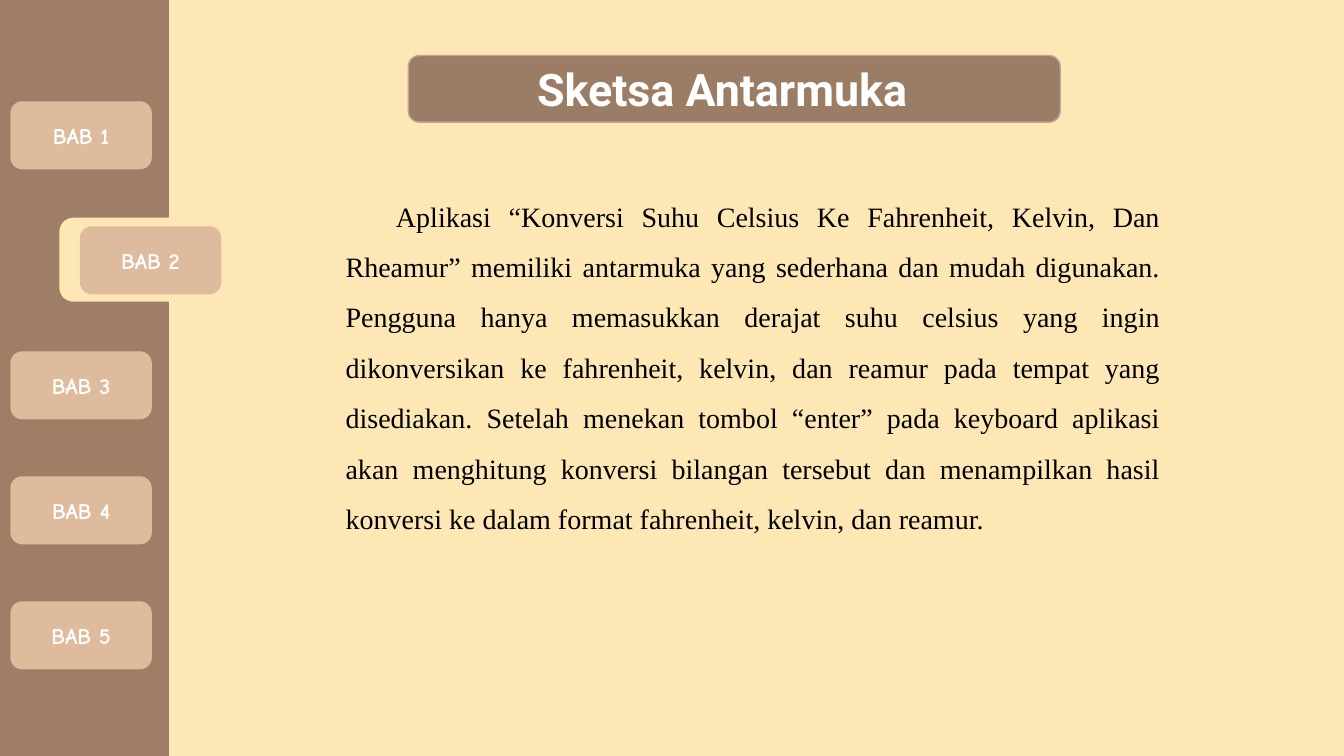
"""Build the "Sketsa Antarmuka" slide with its chapter tabs."""
import math

from pptx import Presentation
from pptx import util as u
from pptx.dml.color import RGBColor
from pptx.enum import shapes, text

CREAM = RGBColor(0xFD, 0xE7, 0xB4)
BROWN = RGBColor(0x9E, 0x7E, 0x67)
TITLE_BROWN = RGBColor(0x9B, 0x7D, 0x65)
TITLE_EDGE = RGBColor(0xBC, 0xA6, 0x96)
TAN = RGBColor(0xDF, 0xBB, 0x9D)
WHITE = RGBColor(0xFF, 0xFF, 0xFF)
BLACK = RGBColor(0, 0, 0)

CHAPTERS = 5
ACTIVE_CHAPTER = 2
TAB_TOP, TAB_PITCH = 2.57, 3.15
TAB_LEFT, ACTIVE_LEFT = 0.28, 2.03
TAB_WIDTH, TAB_HEIGHT = 3.53, 1.68

BODY = (
    "Aplikasi “Konversi Suhu Celsius Ke Fahrenheit, Kelvin, Dan Rheamur” "
    "memiliki antarmuka yang sederhana dan mudah digunakan. Pengguna hanya "
    "memasukkan derajat suhu celsius yang ingin dikonversikan ke fahrenheit, "
    "kelvin, dan reamur pada tempat yang disediakan. Setelah menekan tombol "
    "“enter” pada keyboard aplikasi akan menghitung konversi bilangan tersebut "
    "dan menampilkan hasil konversi ke dalam format fahrenheit, kelvin, dan reamur."
)


def write(frame, words, font, size, color, bold=False, align=text.PP_ALIGN.CENTER):
    frame.word_wrap = True
    para = frame.paragraphs[0]
    para.alignment = align
    span = para.add_run()
    span.text = words
    span.font.name = font
    span.font.size = u.Pt(size)
    span.font.bold = bold
    span.font.color.rgb = color
    return para


def corner(center_x, center_y, radius, start, steps=12):
    angles = [math.radians(start - 90 * step / steps) for step in range(steps + 1)]
    return [(center_x + radius * math.cos(angle), center_y - radius * math.sin(angle))
            for angle in angles]


class Page:
    def __init__(self, deck, background):
        self.slide = deck.slides.add_slide(deck.slide_layouts[6])
        fill = self.slide.background.fill
        fill.solid()
        fill.fore_color.rgb = background

    def paint(self, shape, fill, line):
        shape.shadow.inherit = False
        shape.fill.solid()
        shape.fill.fore_color.rgb = fill
        shape.line.color.rgb = line
        shape.line.width = u.Pt(1)

    def outline(self, points, color):
        start, *rest = [(u.Cm(x), u.Cm(y)) for x, y in points]
        builder = self.slide.shapes.build_freeform(*start)
        builder.add_line_segments(rest, close=True)
        self.paint(builder.convert_to_shape(), color, color)

    def button(self, left, top, width, height, words, fill, line, font, size, inset=0.25):
        box = self.slide.shapes.add_shape(
            shapes.MSO_SHAPE.ROUNDED_RECTANGLE,
            u.Cm(left), u.Cm(top), u.Cm(width), u.Cm(height))
        self.paint(box, fill, line)
        frame = box.text_frame
        frame.vertical_anchor = text.MSO_ANCHOR.MIDDLE
        frame.margin_right = u.Cm(inset)
        write(frame, words, font, size, WHITE, bold=True)

    def body(self, left, top, width, height, words):
        box = self.slide.shapes.add_textbox(u.Cm(left), u.Cm(top), u.Cm(width), u.Cm(height))
        box.text_frame.auto_size = text.MSO_AUTO_SIZE.SHAPE_TO_FIT_TEXT
        para = write(box.text_frame, words, "Times New Roman", 20, BLACK,
                     align=text.PP_ALIGN.JUSTIFY)
        para.line_spacing = 1.5
        para.space_after = u.Pt(10)
        properties = para._p.get_or_add_pPr()
        properties.set("marL", "0")
        properties.set("indent", str(u.Cm(1.27)))


def sidebar_points():
    top, bottom, right = -1.4, 19.66, 4.24
    notch_left, notch_top, notch_bottom, radius = 1.48, 5.47, 7.62, 0.36
    center = notch_left + radius
    lower = corner(center, notch_bottom - radius, radius, 270)
    upper = corner(center, notch_top + radius, radius, 180)
    return [(0, top), (right, top), (right, notch_top), *reversed(upper),
            *reversed(lower), (right, notch_bottom), (right, bottom), (0, bottom)]


def main():
    deck = Presentation()
    deck.slide_width, deck.slide_height = u.Cm(33.87), u.Cm(19.05)
    page = Page(deck, CREAM)
    page.outline(sidebar_points(), BROWN)
    for chapter in range(1, CHAPTERS + 1):
        left = ACTIVE_LEFT if chapter == ACTIVE_CHAPTER else TAB_LEFT
        page.button(left, TAB_TOP + (chapter - 1) * TAB_PITCH, TAB_WIDTH, TAB_HEIGHT,
                    f"BAB {chapter}", TAN, TAN, "Comic Neue", 16)
    page.button(10.29, 1.4, 16.43, 1.68, "Sketsa Antarmuka",
                TITLE_BROWN, TITLE_EDGE, "Roboto", 32, inset=0.85)
    page.body(8.46, 4.47, 21.03, 9.09, BODY)
    deck.save("out.pptx")


if __name__ == "__main__":
    main()
